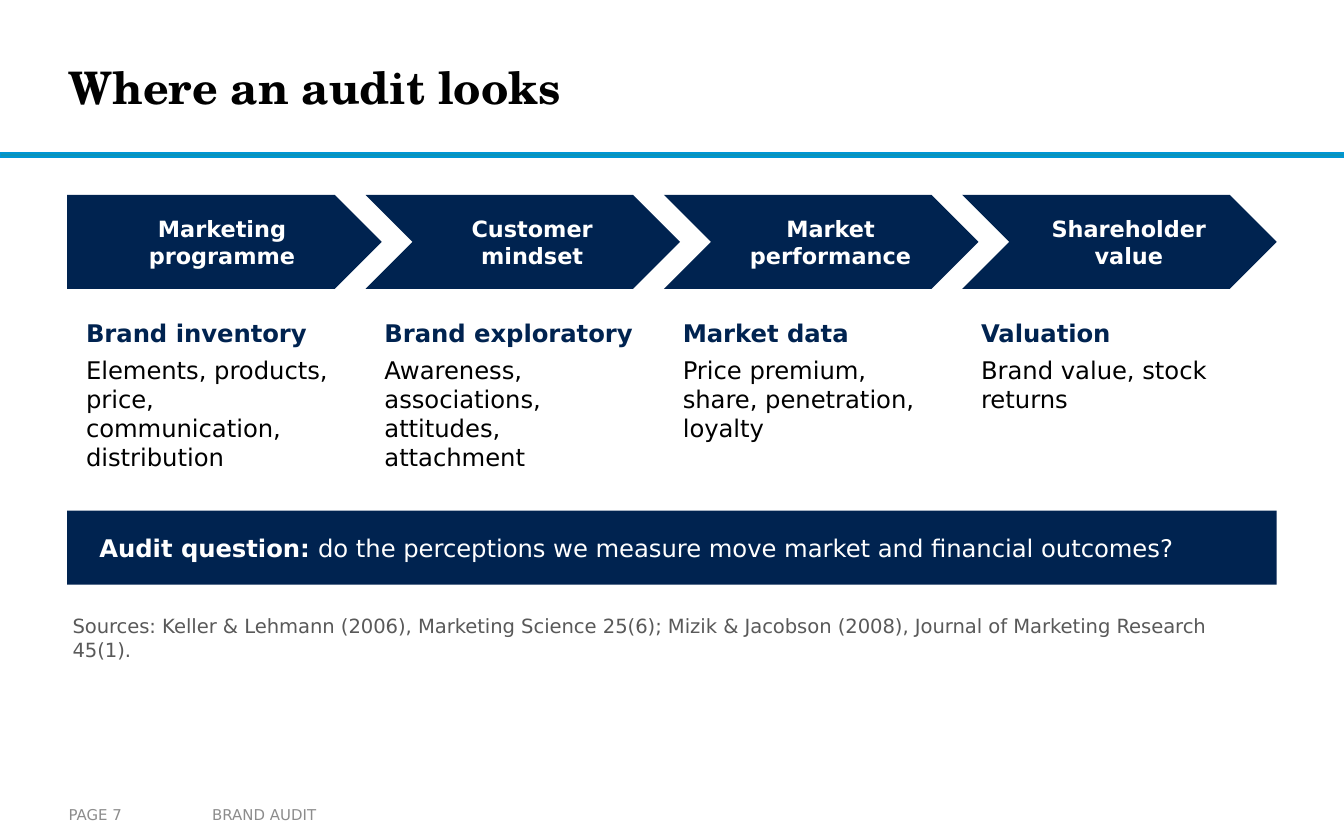
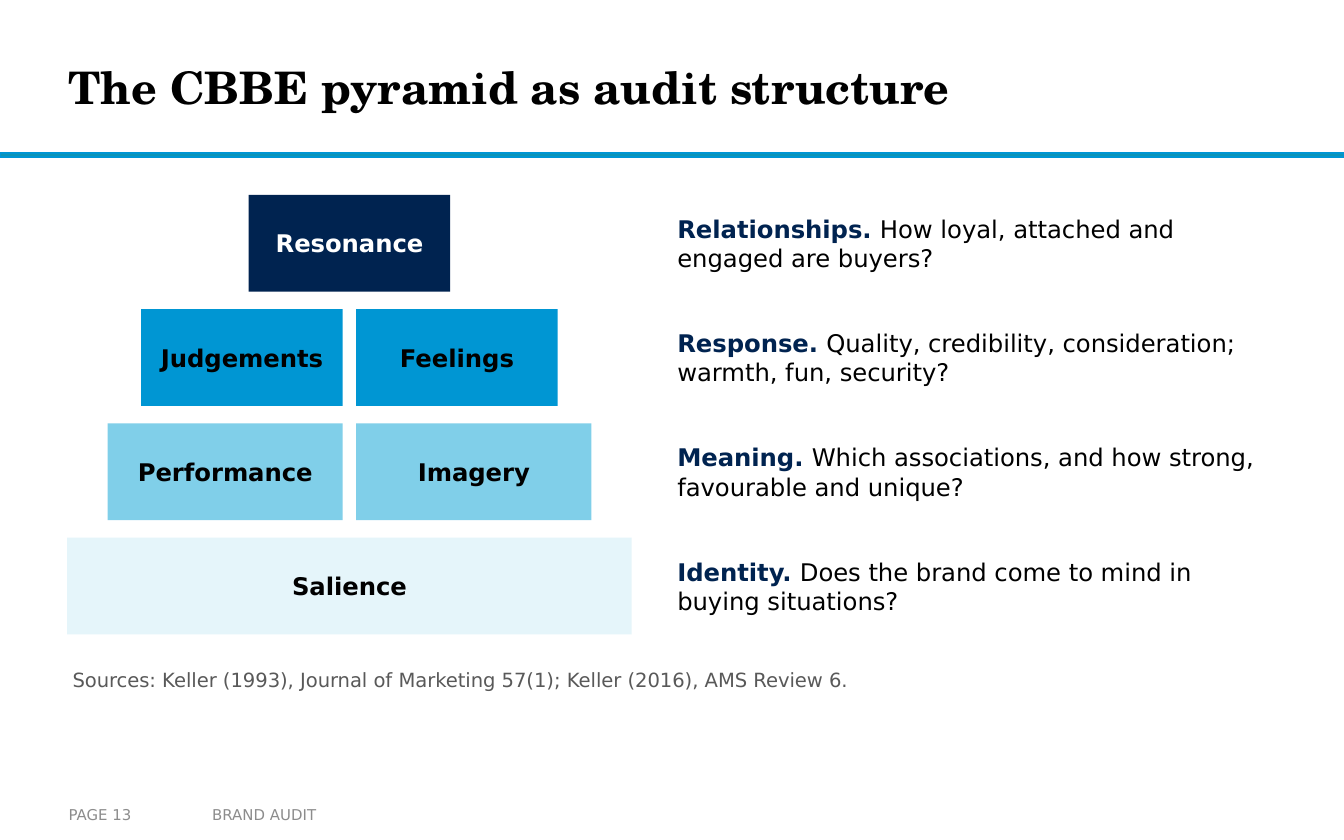
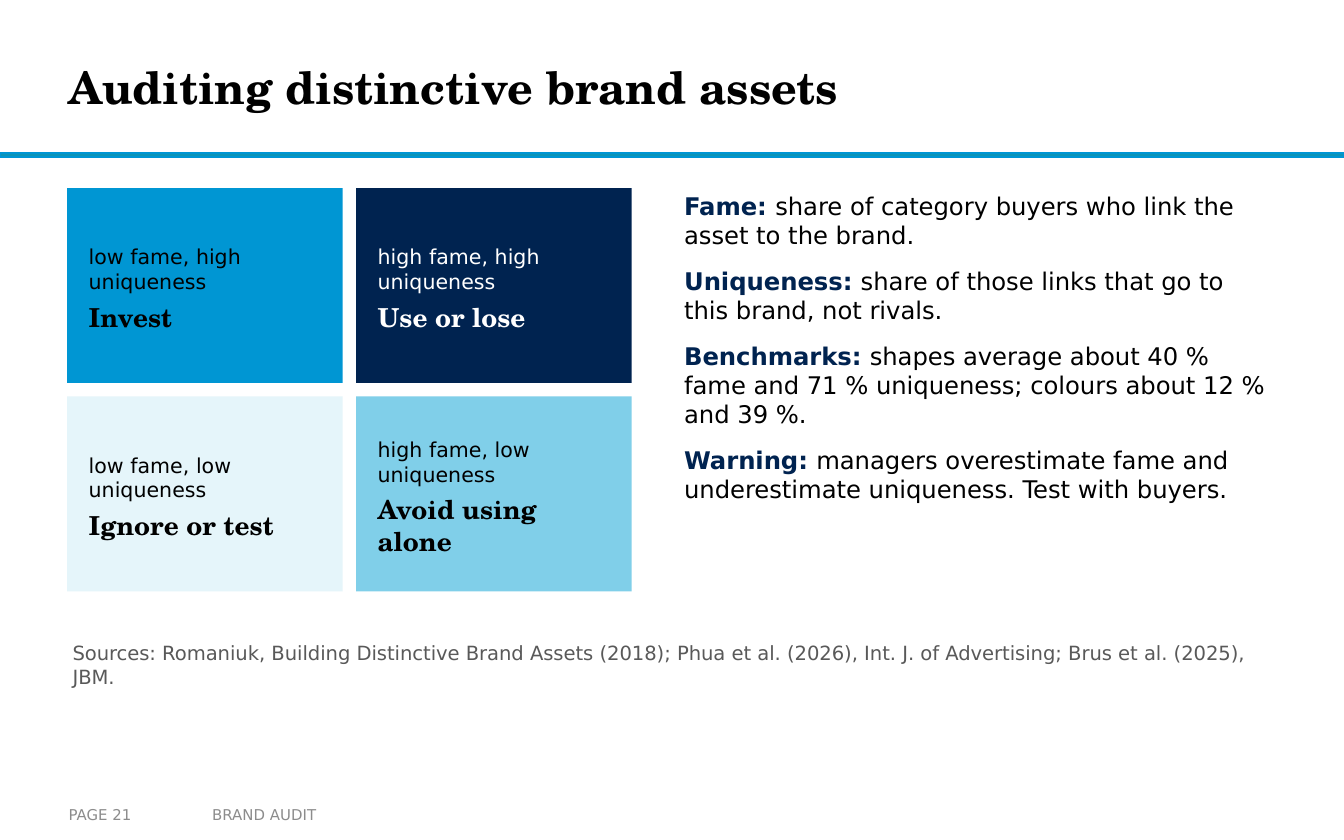
from pptx import Presentation
from pptx.dml.color import RGBColor
from pptx.enum.shapes import MSO_SHAPE
from pptx.enum.text import MSO_ANCHOR, MSO_AUTO_SIZE, PP_ALIGN
from pptx.util import Inches, Pt

# Grid: square cells, 100 columns by 62.5 rows
COLUMNS, ROWS = 100, 62.5
CELL = Inches(10) // COLUMNS
MARGIN, CONTENT_WIDTH = 5, 90

# Palette and fonts
NAVY, BLUE, SKY, PALE = "002350", "0096D3", "80CFE9", "E5F5FA"
RULE, BLACK, WHITE, GREY, SILVER = "0C94B7", "000000", "FFFFFF", "595959", "8C8C8C"
SANS, SERIF = "DejaVu Sans", "TeX Gyre Schola"

# Text insets in cells: left, top, right, bottom
TIGHT, BLOCK, ARROW = (0.4, 0.2, 0.4, 0.2), (1, 0.5, 1, 0.5), (2.2, 0.5, 0.8, 0.5)

STYLES = {
    "title": {"name": SERIF, "size": Pt(24), "bold": True},
    "footer": {"name": SANS, "size": Pt(8), "bold": False},
    "arrow": {"name": SANS, "size": Pt(12), "bold": True},
    "strong": {"name": SANS, "size": Pt(13), "bold": True},
    "body": {"name": SANS, "size": Pt(13), "bold": False},
    "source": {"name": SANS, "size": Pt(10.5), "bold": False},
    "axis": {"name": SANS, "size": Pt(11), "bold": False},
    "verdict": {"name": SERIF, "size": Pt(14), "bold": True},
}


def color(value):
    return RGBColor.from_string(value)


def cells(*lengths):
    return [round(length * CELL) for length in lengths]


def apply(target, values):
    for name, value in values.items():
        setattr(target, name, value)


def lead(term, text, term_color=NAVY, text_color=BLACK):
    """One paragraph: a bold term followed by plain text."""
    return [(term + " ", "strong", term_color), (text, "body", text_color)]


class Deck:
    def __init__(self):
        self.presentation = Presentation()
        apply(self.presentation, {"slide_width": CELL * COLUMNS,
                                  "slide_height": round(CELL * ROWS)})
        self.slide = None

    def add_slide(self, title, page):
        self.slide = self.presentation.slides.add_slide(self.presentation.slide_layouts[6])
        rule = self.block((0, 11.4, COLUMNS, 0.3), RULE)
        rule.line.color.rgb = color(BLUE)
        rule.line.width = Pt(1)
        self.text((5.1, 1.5, 74.8, 9.9), [[(title, "title", BLACK)]],
                  MSO_ANCHOR.MIDDLE, insets=(0, 0, 0, 0), grow=False)
        for left, width, inset, label in ((14.8, 35.2, 1, "BRAND AUDIT"),
                                          (5.1, 9.8, 0, f"PAGE {page}")):
            self.text((left, 59.2, width, 2.8), [[(label, "footer", SILVER)]],
                      MSO_ANCHOR.MIDDLE, insets=(inset, 0.5, inset, 0.5), grow=False)

    def fill_text(self, shape, paragraphs, anchor, insets, align=PP_ALIGN.LEFT, after=0):
        frame = shape.text_frame
        sides = ("margin_left", "margin_top", "margin_right", "margin_bottom")
        apply(frame, {"word_wrap": True, "vertical_anchor": anchor,
                      **dict(zip(sides, cells(*insets)))})
        for index, runs in enumerate(paragraphs):
            paragraph = frame.add_paragraph() if index else frame.paragraphs[0]
            apply(paragraph, {"alignment": align, "space_after": Pt(after)})
            for text, style, text_color in runs:
                run = paragraph.add_run()
                run.text = text
                apply(run.font, STYLES[style])
                run.font.color.rgb = color(text_color)

    def text(self, box, paragraphs, anchor=MSO_ANCHOR.TOP, insets=TIGHT, after=0, grow=True):
        shape = self.slide.shapes.add_textbox(*cells(*box))
        self.fill_text(shape, paragraphs, anchor, insets, after=after)
        if grow:
            shape.text_frame.auto_size = MSO_AUTO_SIZE.SHAPE_TO_FIT_TEXT

    def block(self, box, fill, label=None, style="strong", text_color=BLACK,
              kind=MSO_SHAPE.RECTANGLE, insets=BLOCK):
        shape = self.slide.shapes.add_shape(kind, *cells(*box))
        shape.shadow.inherit = False
        shape.fill.solid()
        shape.fill.fore_color.rgb = color(fill)
        shape.line.fill.background()
        if label:
            self.fill_text(shape, [[(label, style, text_color)]], MSO_ANCHOR.MIDDLE,
                           insets, PP_ALIGN.CENTER)
        return shape

    def sources(self, top, text, height=3.5):
        self.text((MARGIN, top, CONTENT_WIDTH, height),
                  [[("Sources: " + text, "source", GREY)]])


def value_chain(deck):
    deck.add_slide("Where an audit looks", 7)
    stages = [
        ("Marketing programme", "Brand inventory",
         "Elements, products, price, communication, distribution"),
        ("Customer mindset", "Brand exploratory",
         "Awareness, associations, attitudes, attachment"),
        ("Market performance", "Market data", "Price premium, share, penetration, loyalty"),
        ("Shareholder value", "Valuation", "Brand value, stock returns"),
    ]
    arrow_width = 23.4
    step = (CONTENT_WIDTH - arrow_width) / (len(stages) - 1)
    for index, (stage, heading, detail) in enumerate(stages):
        left = MARGIN + index * step
        kind = MSO_SHAPE.CHEVRON if index else MSO_SHAPE.PENTAGON
        deck.block((left, 14.5, arrow_width, 7), NAVY, stage, "arrow", WHITE, kind, ARROW)
        deck.text((left + 1, 23.5, 19.9, 16),
                  [[(heading, "strong", NAVY)], [(detail, "body", BLACK)]], after=4)

    # Question band
    deck.block((MARGIN, 38, CONTENT_WIDTH, 5.5), NAVY)
    question = lead("Audit question:",
                    "do the perceptions we measure move market and financial outcomes?",
                    WHITE, WHITE)
    deck.text((MARGIN + 2, 38, CONTENT_WIDTH - 4, 5.5), [question], MSO_ANCHOR.MIDDLE)
    deck.sources(45.5, "Keller & Lehmann (2006), Marketing Science 25(6); "
                 "Mizik & Jacobson (2008), Journal of Marketing Research 45(1).", 5)


def pyramid(deck):
    deck.add_slide("The CBBE pyramid as audit structure", 13)
    levels = [
        (["Resonance"], 15, NAVY, WHITE, "Relationships.",
         "How loyal, attached and engaged are buyers?"),
        (["Judgements", "Feelings"], 15, BLUE, BLACK, "Response.",
         "Quality, credibility, consideration; warmth, fun, security?"),
        (["Performance", "Imagery"], 17.5, SKY, BLACK, "Meaning.",
         "Which associations, and how strong, favourable and unique?"),
        (["Salience"], 42, PALE, BLACK, "Identity.",
         "Does the brand come to mind in buying situations?"),
    ]
    center, gap, height = 26, 1, 7.2
    for row, (labels, width, fill, text_color, term, question) in enumerate(levels):
        top = 14.5 + row * 8.5
        left = center - (len(labels) * (width + gap) - gap) / 2
        for column, label in enumerate(labels):
            deck.block((left + column * (width + gap), top, width, height),
                       fill, label, text_color=text_color)
        deck.text((50, top, 45, height), [lead(term, question)], MSO_ANCHOR.MIDDLE)
    deck.sources(49.5, "Keller (1993), Journal of Marketing 57(1); "
                 "Keller (2016), AMS Review 6.")


def asset_grid(deck):
    deck.add_slide("Auditing distinctive brand assets", 21)
    quadrants = [
        ("low fame, high uniqueness", "Invest", BLUE, BLACK),
        ("high fame, high uniqueness", "Use or lose", NAVY, WHITE),
        ("low fame, low uniqueness", "Ignore or test", PALE, BLACK),
        ("high fame, low uniqueness", "Avoid using alone", SKY, BLACK),
    ]
    width, height, gap = 20.5, 14.5, 1
    for index, (position, verdict, fill, text_color) in enumerate(quadrants):
        row, column = divmod(index, 2)
        left, top = MARGIN + column * (width + gap), 14 + row * (height + gap)
        deck.block((left, top, width, height), fill)
        deck.text((left + 1.2, top + 1.2, width - 2, height - 2),
                  [[(position, "axis", text_color)], [(verdict, "verdict", text_color)]],
                  MSO_ANCHOR.MIDDLE, after=4)

    # Definitions
    deck.text((50.5, 14, 44.5, 30.5), [
        lead("Fame:", "share of category buyers who link the asset to the brand."),
        lead("Uniqueness:", "share of those links that go to this brand, not rivals."),
        lead("Benchmarks:", "shapes average about 40 % fame and 71 % uniqueness; "
             "colours about 12 % and 39 %."),
        lead("Warning:", "managers overestimate fame and underestimate uniqueness. "
             "Test with buyers."),
    ], after=9)
    deck.sources(47.5, "Romaniuk, Building Distinctive Brand Assets (2018); "
                 "Phua et al. (2026), Int. J. of Advertising; Brus et al. (2025), JBM.")


def main():
    deck = Deck()
    for build in (value_chain, pyramid, asset_grid):
        build(deck)
    deck.presentation.save("out.pptx")


if __name__ == "__main__":
    main()
